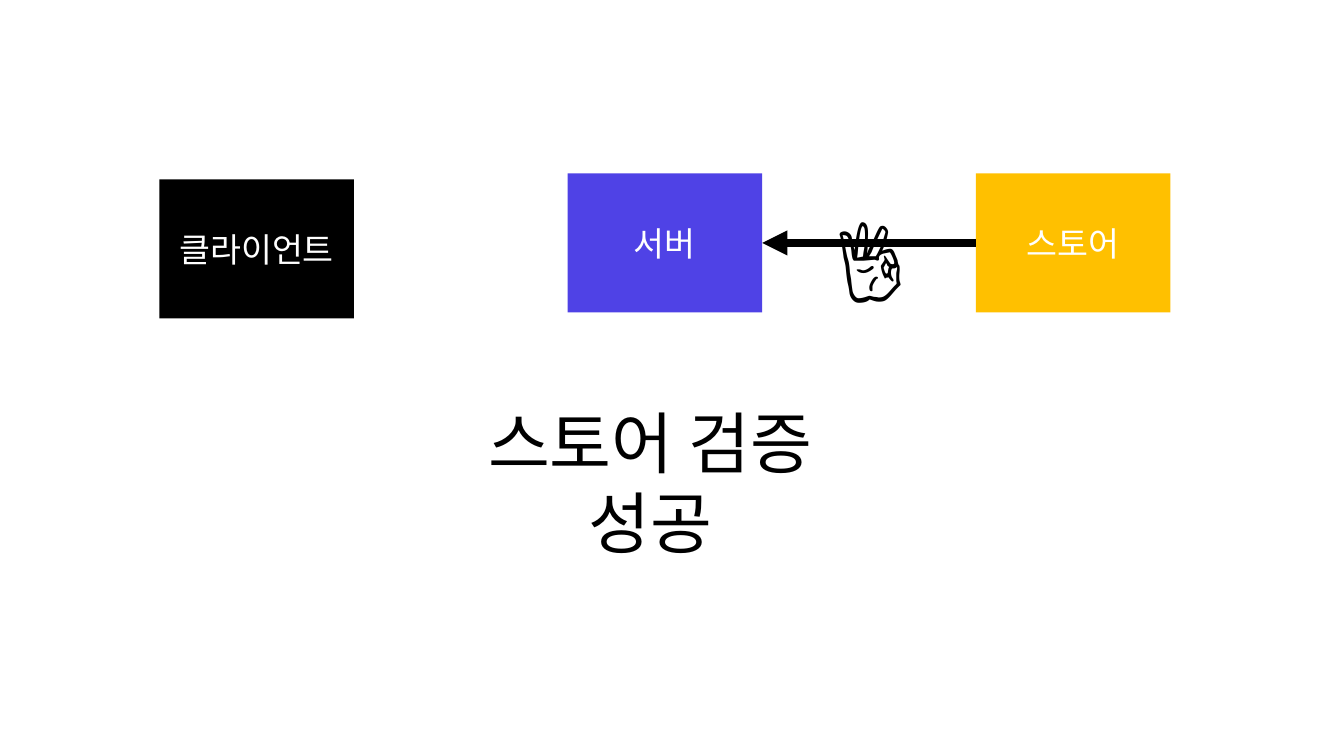
import pptx
import pptx.dml.color
import pptx.enum.shapes
import pptx.enum.text
import pptx.oxml
import pptx.oxml.ns
import pptx.util
from pptx.util import Inches

RGBColor = pptx.dml.color.RGBColor
BLACK = RGBColor(0x00, 0x00, 0x00)
WHITE = RGBColor(0xFF, 0xFF, 0xFF)
VIOLET = RGBColor(0x4F, 0x42, 0xE6)
AMBER = RGBColor(0xFF, 0xC0, 0x00)

BOX_WIDTH, BOX_HEIGHT = 1.93, 1.38
FIRST_LEFT, BOX_STEP = 1.58, 4.05
ROW_TOP = 1.72
CENTER = pptx.enum.text.PP_ALIGN.CENTER
LEFT = pptx.enum.text.PP_ALIGN.LEFT


def write_text(frame, text, size, font, color, alignment):
    frame.text = text
    para = frame.paragraphs[0]
    para.alignment = alignment
    span = para.runs[0]
    span.font.size = pptx.util.Pt(size)
    span.font.name = font
    span.font.color.rgb = color


def add_actor(page, left, top, name, color):
    box = page.shapes.add_shape(
        pptx.enum.shapes.MSO_SHAPE.RECTANGLE,
        Inches(left), Inches(top), Inches(BOX_WIDTH), Inches(BOX_HEIGHT))
    box.shadow.inherit = False
    box.fill.solid()
    box.fill.fore_color.rgb = color
    box.line.fill.background()
    box.text_frame.vertical_anchor = pptx.enum.text.MSO_ANCHOR.MIDDLE
    write_text(box.text_frame, name, 24, "Lato", WHITE, CENTER)


def add_label(page, left, top, width, height, text, size, font, alignment, wrap):
    label = page.shapes.add_textbox(
        Inches(left), Inches(top), Inches(width), Inches(height))
    label.text_frame.word_wrap = wrap
    label.text_frame.auto_size = pptx.enum.text.MSO_AUTO_SIZE.SHAPE_TO_FIT_TEXT
    write_text(label.text_frame, text, size, font, BLACK, alignment)


def add_arrow(page, start, end, y):
    arrow = page.shapes.add_connector(
        pptx.enum.shapes.MSO_CONNECTOR.STRAIGHT,
        Inches(start), Inches(y), Inches(end), Inches(y))
    arrow.line.color.rgb = BLACK
    arrow.line.width = pptx.util.Pt(6)
    line = arrow.line._get_or_add_ln()
    head = pptx.oxml.parse_xml(
        f'<a:tailEnd {pptx.oxml.ns.nsdecls("a")} type="triangle"/>')
    line.append(head)
    effects = pptx.oxml.parse_xml(
        f'<a:effectLst {pptx.oxml.ns.nsdecls("a")}/>')
    line.addnext(effects)


def main():
    deck = pptx.Presentation()
    deck.slide_width, deck.slide_height = Inches(13.33), Inches(7.5)
    page = deck.slides.add_slide(deck.slide_layouts[6])

    # Client, server and store
    client, server, store = [FIRST_LEFT + i * BOX_STEP for i in range(3)]
    add_actor(page, client, 1.78, "클라이언트", BLACK)
    add_actor(page, server, ROW_TOP, "서버", VIOLET)
    add_actor(page, store, ROW_TOP, "스토어", AMBER)

    # Message below the boxes
    add_label(page, 4.16, 3.93, 4.58, 0.91, "스토어 검증 성공",
              48, "Roboto", CENTER, True)

    # Reply from store to server
    add_arrow(page, store, server + BOX_WIDTH, ROW_TOP + BOX_HEIGHT / 2)
    add_label(page, 8.2, 1.92, 1.1, 1.18, "👌",
              64, "Noto Sans CJK KR", LEFT, False)

    deck.save("out.pptx")


if __name__ == "__main__":
    main()
